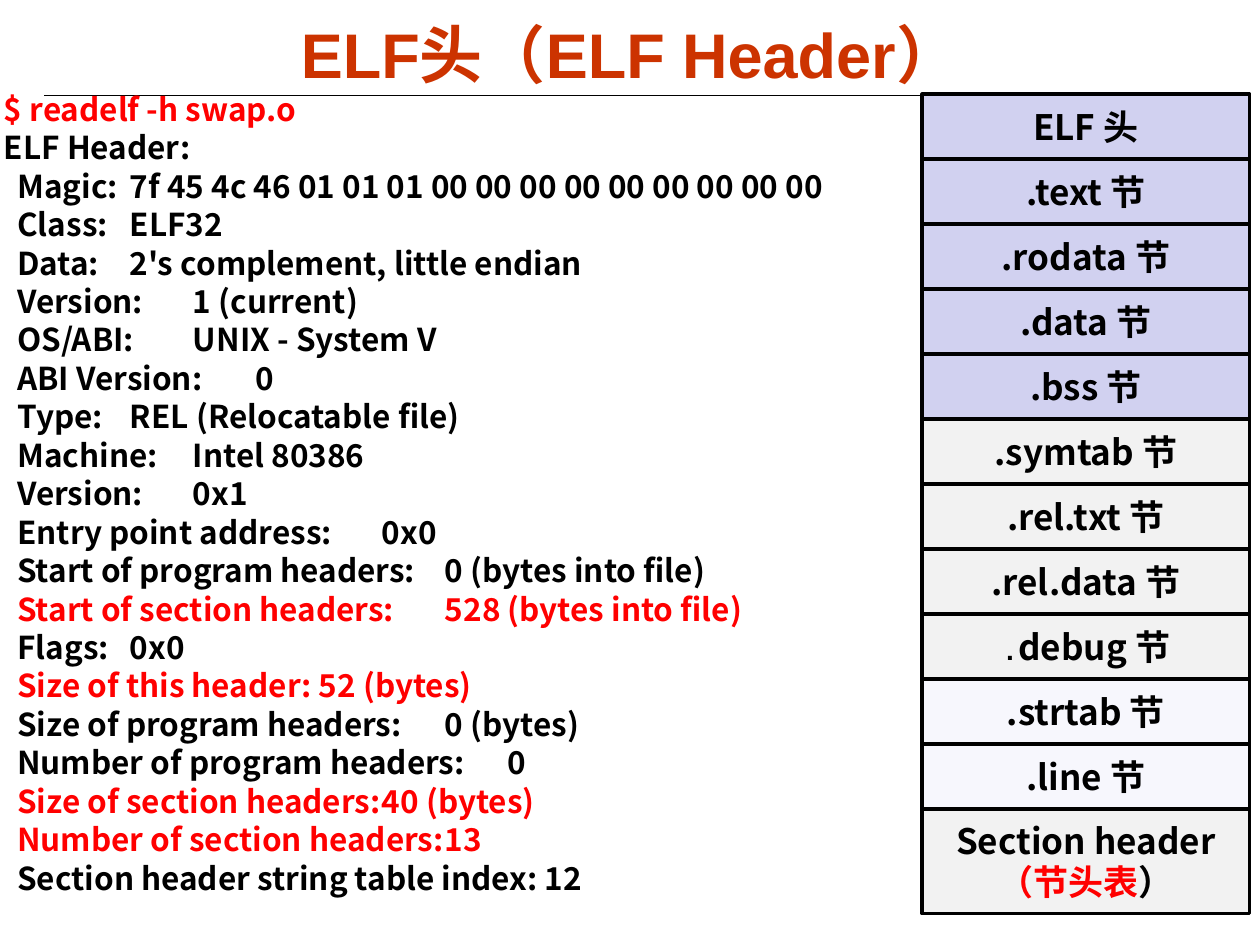
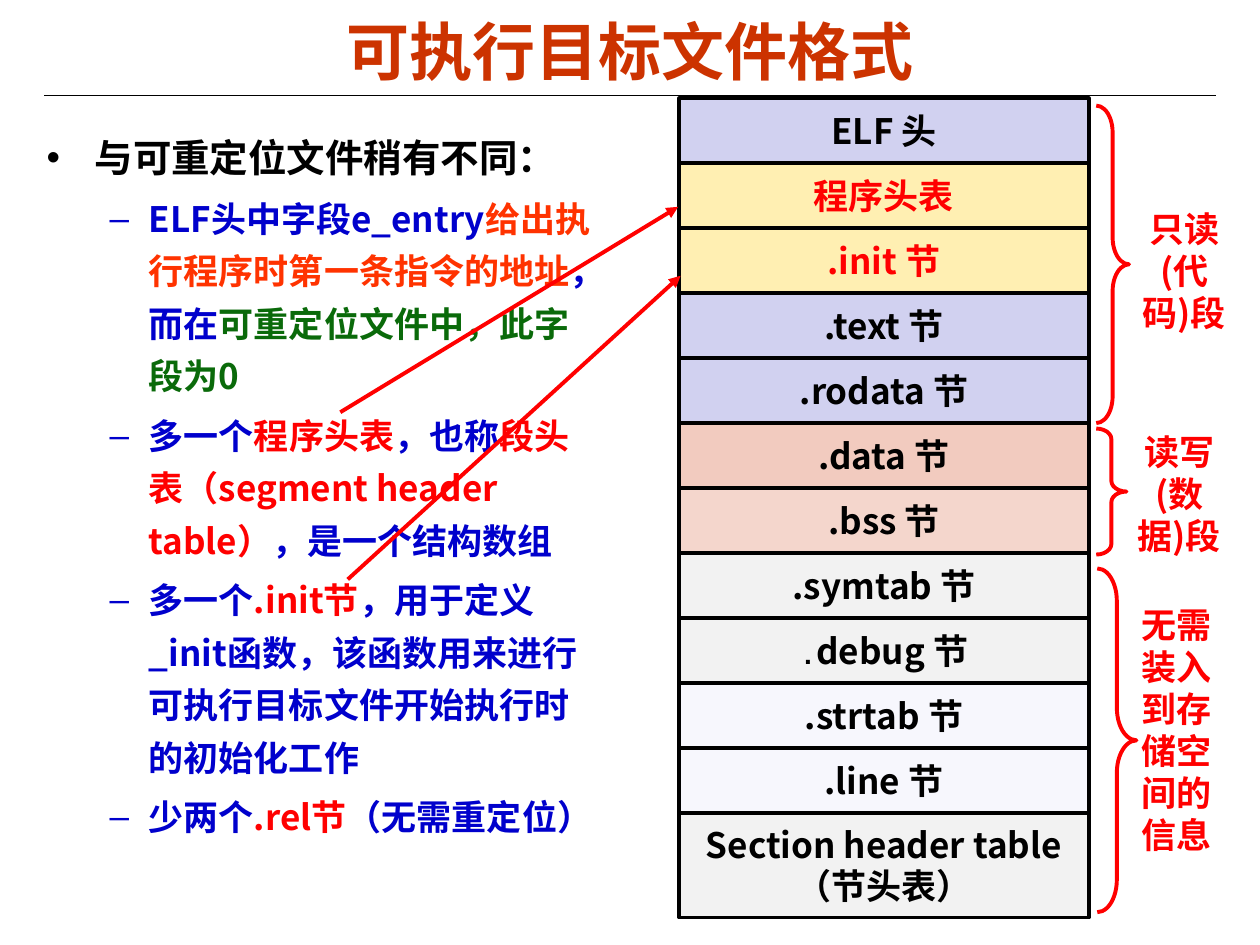
from dataclasses import dataclass

from lxml.etree import SubElement
from pptx import Presentation
from pptx.dml.color import RGBColor
from pptx.enum.shapes import MSO_CONNECTOR, MSO_SHAPE
from pptx.enum.text import MSO_ANCHOR, PP_ALIGN
from pptx.oxml.ns import qn
from pptx.util import Cm, Pt


@dataclass(frozen=True)
class Theme:
    title_color: str = "CC3300"
    ink: str = "000000"
    red: str = "FF0000"
    blue: str = "0000CC"
    orange: str = "FF3300"
    green: str = "0A6A0A"
    code_fill: tuple = ("D1D1F0", 100)
    new_fill: tuple = ("FFCC00", 30)
    data_fill: tuple = ("CC3300", 25)
    bss_fill: tuple = ("CC3300", 20)
    table_fill: tuple = ("F2F2F2", 100)
    string_fill: tuple = ("D6D6F5", 19)
    title_font: str = "Arial"
    body_font: str = "Noto Sans CJK SC"
    mono_font: str = "Courier New"
    title_size: int = 36
    lead_size: int = 22
    body_size: int = 20
    listing_size: int = 18
    dot_size: int = 16


THEME = Theme()
ROW_PITCH, ROW_HEIGHT, LAST_ROW_HEIGHT = 1.31, 1.32, 2.11


class SlideBuilder:
    """Holds the theme and the slide being filled; lengths are centimetres."""

    def __init__(self, presentation, theme):
        self.presentation, self.theme = presentation, theme
        self.slide = None

    def new_slide(self, title, title_top):
        self.slide = self.presentation.slides.add_slide(self.presentation.slide_layouts[6])
        self.line((0.89, 1.93), (24.51, 1.93), self.theme.ink, 0.75)
        frame = self.text_box(1.27, title_top, 22.86, 1.55)
        frame.vertical_anchor = MSO_ANCHOR.MIDDLE
        self.add_text(frame, [title], self.theme.title_color, self.theme.title_size,
                      font_name=self.theme.title_font, align=PP_ALIGN.CENTER)

    def text_box(self, left, top, width, height):
        frame = self.slide.shapes.add_textbox(Cm(left), Cm(top), Cm(width), Cm(height)).text_frame
        frame.word_wrap = True
        return frame

    def add_text(self, frame, runs, color, size, font_name=None, align=PP_ALIGN.LEFT,
                 spacing=None, before=0, margin=0, indent=0, bullet=None, tab=None):
        """Add a paragraph; a run is a text or (text, color[, font, size])."""
        first = not frame.paragraphs[0].runs
        paragraph = frame.paragraphs[0] if first else frame.add_paragraph()
        properties = paragraph._p.get_or_add_pPr()
        properties.set("marL", str(Cm(margin)))
        properties.set("indent", str(Cm(indent)))
        if bullet:
            SubElement(properties, qn("a:buFont"), typeface=self.theme.title_font)
            SubElement(properties, qn("a:buChar"), char=bullet)
        if tab:
            tabs = SubElement(properties, qn("a:tabLst"))
            SubElement(tabs, qn("a:tab"), pos=str(Cm(tab)), algn="l")
        paragraph.alignment = align
        if spacing:
            paragraph.line_spacing = Pt(spacing)
        paragraph.space_before = Pt(0 if first else before)
        self.style_font(paragraph.font, color, size, font_name or self.theme.body_font)
        SubElement(properties.find(qn("a:defRPr")), qn("a:ea"), typeface=self.theme.body_font)
        for item in runs:
            text, *style = (item,) if isinstance(item, str) else item
            run = paragraph.add_run()
            run.text = text
            if style:
                run.font.color.rgb = RGBColor.from_string(style[0])
            if len(style) == 3:
                run.font.name, run.font.size = style[1], Pt(style[2])

    def style_font(self, font, color, size, name):
        font.size, font.bold, font.name = Pt(size), True, name
        font.color.rgb = RGBColor.from_string(color)

    def line(self, start, end, color, width, arrow=False):
        connector = self.slide.shapes.add_connector(
            MSO_CONNECTOR.STRAIGHT, *(Cm(value) for value in start + end))
        connector.line.color.rgb = RGBColor.from_string(color)
        connector.line.width = Pt(width)
        properties = connector._element.spPr
        if arrow:
            SubElement(properties.find(qn("a:ln")), qn("a:tailEnd"), type="triangle")
        SubElement(properties, qn("a:effectLst"))

    def shape(self, kind, left, top, width, height, line_color, line_width):
        shape = self.slide.shapes.add_shape(kind, Cm(left), Cm(top), Cm(width), Cm(height))
        shape.shadow.inherit = False
        shape.line.color.rgb = RGBColor.from_string(line_color)
        shape.line.width = Pt(line_width)
        return shape

    def section_stack(self, left, top, width, rows):
        """Stack the sections of a file; the last one holds two lines."""
        for index, (fill, *lines) in enumerate(rows):
            height = LAST_ROW_HEIGHT if len(lines) > 1 else ROW_HEIGHT
            shape = self.shape(MSO_SHAPE.RECTANGLE, left, top + index * ROW_PITCH,
                               width, height, self.theme.ink, 2)
            color, opacity = fill
            shape.fill.solid()
            shape.fill.fore_color.rgb = RGBColor.from_string(color)
            if opacity < 100:
                color_node = shape._element.spPr.find(qn("a:solidFill"))[0]
                SubElement(color_node, qn("a:alpha"), val=str(opacity * 1000))
            frame = shape.text_frame
            frame.word_wrap = False
            frame.vertical_anchor = MSO_ANCHOR.MIDDLE
            for runs in lines:
                self.add_text(frame, runs, self.theme.ink, self.theme.body_size,
                              align=PP_ALIGN.CENTER, spacing=23.5)

    def brace(self, left, top, width, height, curl):
        shape = self.shape(MSO_SHAPE.RIGHT_BRACE, left, top, width, height, self.theme.red, 2.25)
        shape.fill.background()
        shape.adjustments[0] = curl

    def segment_label(self, left, top, width, height, text, align):
        self.add_text(self.text_box(left, top, width, height), [text], self.theme.red,
                      self.theme.body_size, align=align, spacing=24)


def section(fill, name):
    return fill, [f"{name} 节"]


DEBUG_ROW = (THEME.table_fill, [(".", THEME.ink, THEME.mono_font, THEME.dot_size), "debug 节"])
ELF_ROW = (THEME.code_fill, ["ELF 头"])
STRING_ROWS = [section(THEME.string_fill, name) for name in (".strtab", ".line")]

# Field name, value, where the value starts (cm), highlighted
HEADER_FIELDS = [
    ("Magic:", "7f 45 4c 46 01 01 01 00 00 00 00 00 00 00 00 00", 2.72, False),
    ("Class:", "ELF32", 6.27, False),
    ("Data:", "2's complement, little endian", 6.25, False),
    ("Version:", "1 (current)", 6.69, False),
    ("OS/ABI:", "UNIX - System V", 6.63, False),
    ("ABI Version:", "0", 7.32, False),
    ("Type:", "REL (Relocatable file)", 6.28, False),
    ("Machine:", "Intel 80386", 6.97, False),
    ("Version:", "0x1", 6.69, False),
    ("Entry point address:", "0x0", 8.75, False),
    ("Start of program headers:", "0 (bytes into file)", 9.72, False),
    ("Start of section headers:", "528 (bytes into file)", 9.29, True),
    ("Flags:", "0x0", 6.27, False),
    ("Size of this header:", "52 (bytes)", 8.35, True),
    ("Size of program headers:", "0 (bytes)", 9.58, False),
    ("Number of program headers:", "0", 10.58, False),
    ("Size of section headers:", "40 (bytes)", 9.15, True),
    ("Number of section headers:", "13", 10.14, True),
]


def build_header_slide(builder):
    theme = builder.theme
    builder.new_slide("ELF头（ELF Header）", 0.3)

    # Command output
    frame = builder.text_box(0, 1.8, 18.5, 16.6)
    frame.margin_left = Cm(0.08)
    style = dict(size=theme.listing_size, spacing=18.36, before=3.6)
    builder.add_text(frame, ["$ readelf -h swap.o"], theme.red, **style)
    builder.add_text(frame, ["ELF Header:"], theme.ink, **style)
    for name, value, start, highlighted in HEADER_FIELDS:
        builder.add_text(frame, [f"{name}\t{value}"], theme.red if highlighted else theme.ink,
                         indent=0.27, tab=start, **style)
    builder.add_text(frame, ["Section header string table index: 12"], theme.ink,
                     indent=0.27, **style)

    # Relocatable file layout
    code = [section(theme.code_fill, name) for name in (".text", ".rodata", ".data", ".bss")]
    tables = [section(theme.table_fill, name) for name in (".symtab", ".rel.txt", ".rel.data")]
    last = (theme.table_fill, ["Section header"], [("（节头表", theme.red), "）"])
    builder.section_stack(18.59, 1.9, 6.6,
                          [ELF_ROW, *code, *tables, DEBUG_ROW, *STRING_ROWS, last])


def build_executable_slide(builder):
    theme = builder.theme
    builder.new_slide("可执行目标文件格式", 0.23)

    # Executable file layout
    builder.section_stack(13.69, 1.98, 8.26, [
        ELF_ROW,
        (theme.new_fill, [("程序头表", theme.red)]),
        (theme.new_fill, [(".init 节", theme.red)]),
        section(theme.code_fill, ".text"),
        section(theme.code_fill, ".rodata"),
        section(theme.data_fill, ".data"),
        section(theme.bss_fill, ".bss"),
        section(theme.table_fill, ".symtab"),
        DEBUG_ROW,
        *STRING_ROWS,
        (theme.table_fill, ["Section header table"], ["（节头表）"]),
    ])

    # Segments
    builder.brace(22.1, 2.13, 0.66, 6.4, 0.82)
    builder.segment_label(22.68, 4.06, 2.39, 2.79, "只读(代码)段", PP_ALIGN.CENTER)
    builder.brace(22.1, 8.64, 0.61, 2.54, 0.35)
    builder.segment_label(22.58, 8.56, 2.39, 2.79, "读写(数据)段", PP_ALIGN.CENTER)
    builder.brace(22.12, 11.46, 0.79, 6.93, 0.83)
    builder.segment_label(22.76, 12.04, 2.21, 5.33, "无需装入到存储空间的信息", PP_ALIGN.LEFT)

    # Differences from relocatable files
    frame = builder.text_box(0.69, 2.34, 11.73, 15.9)
    builder.add_text(frame, ["与可重定位文件稍有不同："], theme.ink, theme.lead_size,
                     spacing=33, margin=0.97, indent=-0.97, bullet="•")
    differences = [
        ["ELF头中字段e_entry", ("给出执行程序时第一条指令的地址", theme.orange), "，而在",
         ("可重定位文件中，此字段为0", theme.green)],
        ["多一个", ("程序头表", theme.red), "，也称",
         ("段头表（segment header table）", theme.red), "，是一个结构数组"],
        ["多一个", (".init节", theme.red),
         "，用于定义_init函数，该函数用来进行可执行目标文件开始执行时的初始化工作"],
        ["少两个", (".rel节", theme.red), "（无需重定位）"],
    ]
    for runs in differences:
        builder.add_text(frame, runs, theme.blue, theme.body_size, spacing=30, before=4,
                         margin=2.06, indent=-0.79, bullet="–")

    # Arrows to the two added parts
    builder.line((6.86, 8.31), (13.67, 4.17), theme.red, 2.25, arrow=True)
    builder.line((7.01, 11.68), (13.72, 5.56), theme.red, 2.25, arrow=True)


def main():
    presentation = Presentation()
    presentation.slide_width, presentation.slide_height = Cm(25.4), Cm(19.05)
    builder = SlideBuilder(presentation, THEME)
    build_header_slide(builder)
    build_executable_slide(builder)
    presentation.save("out.pptx")


if __name__ == "__main__":
    main()
